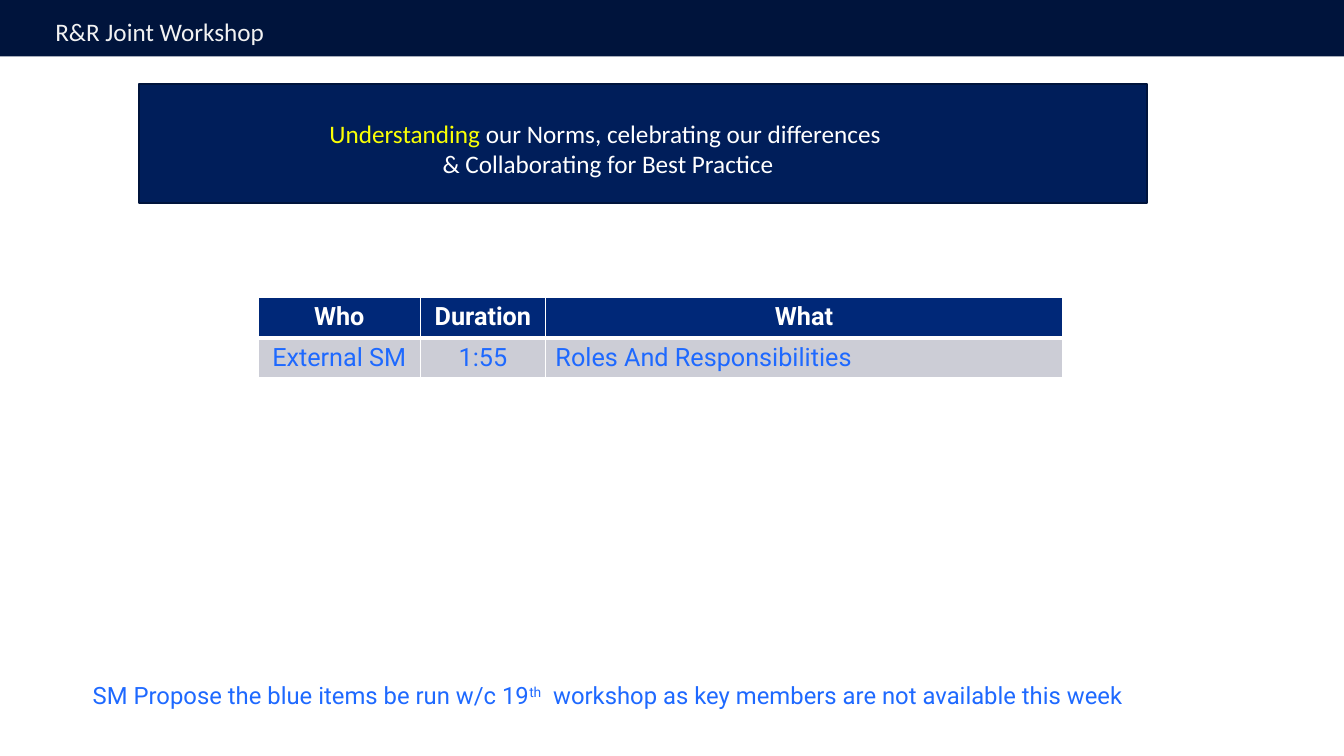
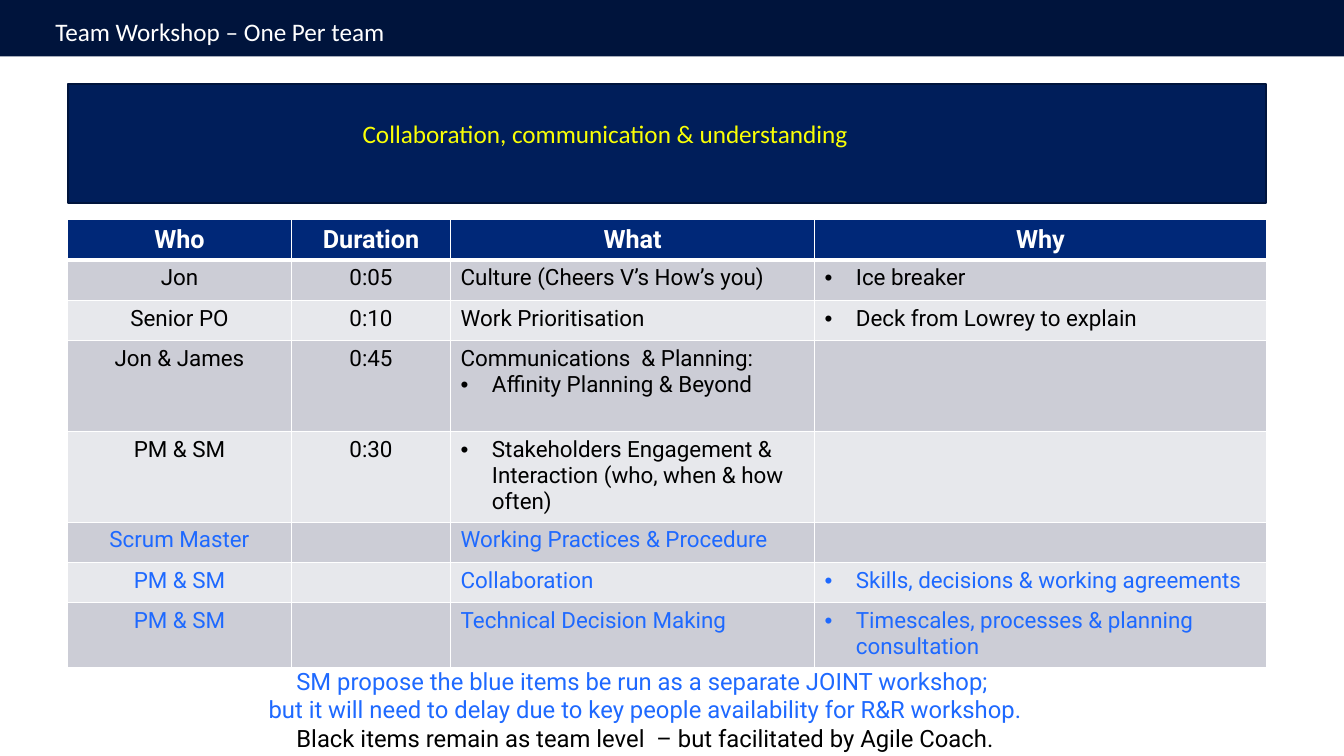
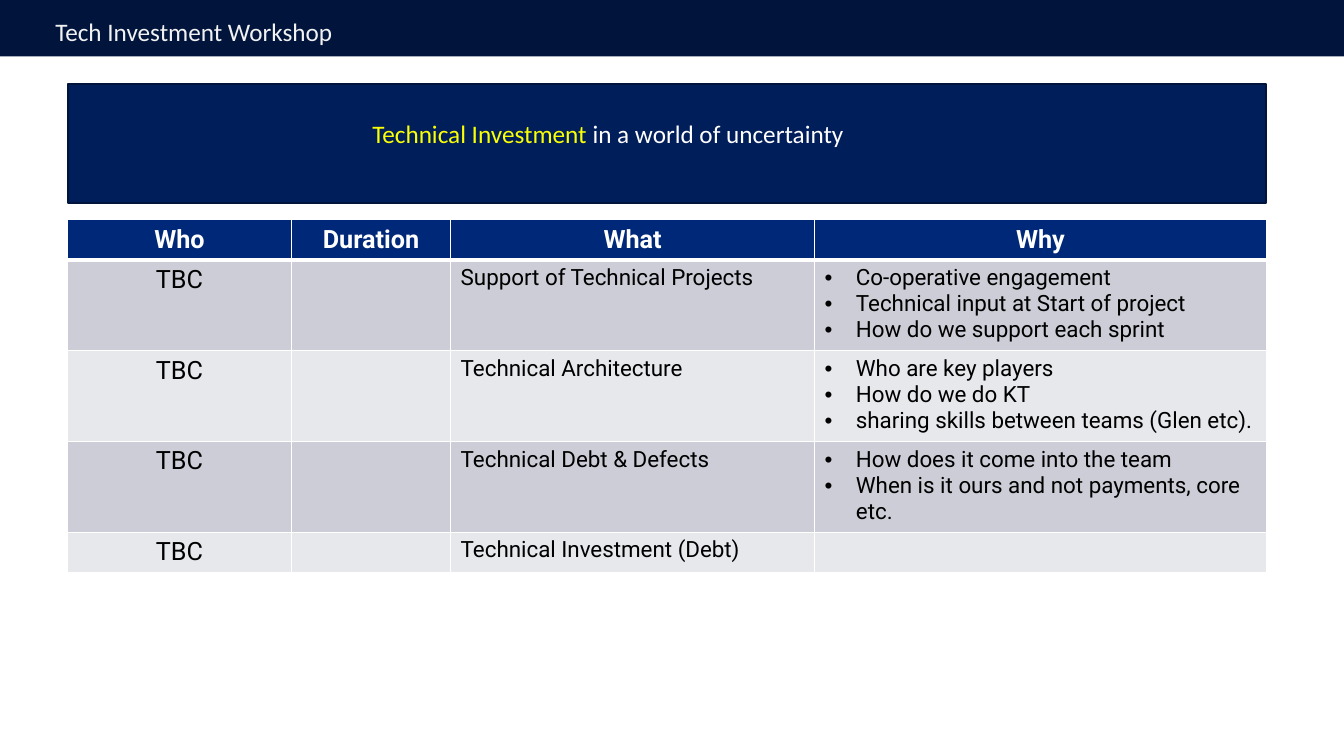
import dataclasses

import pptx
import pptx.dml.color
import pptx.enum.shapes
import pptx.enum.text
import pptx.oxml
import pptx.oxml.ns
import pptx.util

Inches = pptx.util.Inches
Pt = pptx.util.Pt
CENTER = pptx.enum.text.PP_ALIGN.CENTER


@dataclasses.dataclass(frozen=True)
class Theme:
    navy: str = "00143C"
    banner: str = "001E5A"
    header: str = "002878"
    band_dark: str = "CCCDD6"
    band_light: str = "E7E8EC"
    white: str = "FFFFFF"
    off_white: str = "F2F2F2"
    yellow: str = "FAFF05"
    blue: str = "1E69FF"
    black: str = "000000"
    heading_font: str = "Calibri"
    body_font: str = "Roboto"
    large: int = 18
    note: int = 17
    small: int = 16


THEME = Theme()

# Grid, in inches
SLIDE_W, SLIDE_H = 13.33, 7.5
MARGIN = 0.67
CONTENT_W = 11.89
TABLE_TOP = 2.18
AGENDA_COLUMNS = (2.22, 1.58, 3.61, 4.48)
ROW_HEIGHTS = {1: 0.4, 2: 0.64, 3: 0.9}  # by lines of text
BULLET = "• "
BULLET_INDENT = 0.31


def rgb(color):
    return pptx.dml.color.RGBColor.from_string(color)


def set_font(font, name, size, color, bold=False):
    font.name, font.size, font.bold = name, Pt(size), bold
    font.color.rgb = rgb(color)


def add_rect(slide, left, top, width, height, fill, outline=None):
    rect = slide.shapes.add_shape(
        pptx.enum.shapes.MSO_SHAPE.RECTANGLE,
        Inches(left), Inches(top), Inches(width), Inches(height))
    rect.shadow.inherit = False
    rect.fill.solid()
    rect.fill.fore_color.rgb = rgb(fill)
    if outline:
        rect.line.color.rgb = rgb(outline)
        rect.line.width = Pt(1.5)
    else:
        rect.line.fill.background()


def add_text(slide, box, lines, font, size, align=None, inset=True):
    """Each line is a list of (text, color) or (text, color, baseline) runs."""
    frame = slide.shapes.add_textbox(*map(Inches, box)).text_frame
    frame.word_wrap = True
    if not inset:
        frame.margin_left = frame.margin_right = 0
        frame.margin_top = frame.margin_bottom = 0
    for index, runs in enumerate(lines):
        paragraph = frame.add_paragraph() if index else frame.paragraphs[0]
        paragraph.alignment = align
        set_font(paragraph.font, font, size, runs[0][1])
        for text, color, *baseline in runs:
            run = paragraph.add_run()
            run.text = text
            if color != runs[0][1]:
                run.font.color.rgb = rgb(color)
            if baseline:
                run._r.get_or_add_rPr().set("baseline", str(baseline[0] * 1000))


def add_frame(prs, title, headline, title_color=THEME.off_white,
              banner_left=MARGIN, banner_width=CONTENT_W):
    """New slide with the title band and the headline banner."""
    slide = prs.slides.add_slide(prs.slide_layouts[6])
    add_rect(slide, 0, 0, SLIDE_W, 0.56, THEME.navy)
    add_rect(slide, banner_left, 0.83, banner_width, 1.18, THEME.banner, THEME.navy)
    add_text(slide, (0.45, 0.11, 6, 0.4), [[(title, title_color)]],
             THEME.heading_font, THEME.large)
    add_text(slide, (MARGIN, 1.12, 10.72, 0.4 + 0.31 * (len(headline) - 1)),
             headline, THEME.heading_font, THEME.large, CENTER)
    return slide


def add_borders(cell, bottom):
    properties = cell._tc.get_or_add_tcPr()
    for side, width in (("L", 1), ("R", 1), ("T", 1), ("B", bottom)):
        properties.append(pptx.oxml.parse_xml(
            f'<a:ln{side} {pptx.oxml.ns.nsdecls("a")} w="{Pt(width)}">'
            f'<a:solidFill><a:srgbClr val="{THEME.white}"/></a:solidFill>'
            f'</a:ln{side}>'))


def add_bullet(paragraph):
    properties = paragraph._p.get_or_add_pPr()
    properties.set("marL", str(Inches(BULLET_INDENT)))
    properties.set("indent", str(-Inches(BULLET_INDENT)))
    properties.append(pptx.oxml.parse_xml(
        f'<a:buFont {pptx.oxml.ns.nsdecls("a")} typeface="Arial"/>'))
    properties.append(pptx.oxml.parse_xml(
        f'<a:buChar {pptx.oxml.ns.nsdecls("a")} char="{BULLET.strip()}"/>'))


def fill_cell(cell, text, fill, size, color, align=None, header=False):
    add_borders(cell, 3 if header else 1)
    cell.fill.solid()
    cell.fill.fore_color.rgb = rgb(fill)
    for index, line in enumerate(text.split("\n")):
        frame = cell.text_frame
        paragraph = frame.add_paragraph() if index else frame.paragraphs[0]
        paragraph.alignment = align
        if line.startswith(BULLET):
            add_bullet(paragraph)
        set_font(paragraph.font, THEME.body_font, size, color, header)
        if line:
            paragraph.add_run().text = line.removeprefix(BULLET)


def add_agenda(slide, left, top, columns, rows, who_size=THEME.small, size=THEME.small):
    """Each row is (lines of height, text color, cell texts)."""
    heights = [ROW_HEIGHTS[lines] for lines in (1, *(row[0] for row in rows))]
    table = slide.shapes.add_table(
        len(heights), len(columns), Inches(left), Inches(top),
        Inches(sum(columns)), Inches(sum(heights))).table
    table.horz_banding = False
    for column, width in zip(table.columns, columns):
        column.width = Inches(width)
    for row, height in zip(table.rows, heights):
        row.height = Inches(height)
    for c, heading in enumerate(("Who", "Duration", "What", "Why")[:len(columns)]):
        fill_cell(table.cell(0, c), heading, THEME.header, THEME.large,
                  THEME.white, CENTER, header=True)
    for r, (_, color, texts) in enumerate(rows, 1):
        band = THEME.band_dark if r % 2 else THEME.band_light
        for c, text in enumerate(texts):
            fill_cell(table.cell(r, c), text, band, size if c else who_size,
                      color, CENTER if c < 2 else None)


def add_note(slide, left, top, width, lines, align=None):
    add_text(slide, (left, top, width, 0.29 * len(lines)), lines,
             THEME.body_font, THEME.note, align, inset=False)


def joint_workshop(prs):
    slide = add_frame(
        prs, "R&R Joint Workshop",
        [[("Understanding", THEME.yellow),
          (" our Norms, celebrating our differences ", THEME.white)],
         [("& Collaborating for Best Practice", THEME.white)]],
        banner_left=1.38, banner_width=10)
    add_agenda(slide, 2.56, 2.95, (1.61, 1.24, 5.13),
               [(1, THEME.blue, ("External SM", "1:55", "Roles And Responsibilities"))],
               who_size=THEME.large, size=THEME.large)
    add_note(slide, 0.92, 6.75, 11.5, [[
        ("SM Propose the blue items be run w/c 19", THEME.blue),
        ("th", THEME.blue, 30),
        ("  workshop as key members are not available this week", THEME.blue)]])


def team_workshop(prs):
    slide = add_frame(
        prs, "Team Workshop – One Per team",
        [[("Collaboration, communication & understanding ", THEME.yellow)]],
        title_color=THEME.white)
    black, blue = THEME.black, THEME.blue
    add_agenda(slide, MARGIN, TABLE_TOP, AGENDA_COLUMNS, [
        (1, black, ("Jon", "0:05", "Culture (Cheers V’s How’s you)", "• Ice breaker")),
        (1, black, ("Senior PO", "0:10", "Work Prioritisation",
                    "• Deck from Lowrey to explain")),
        (3, black, ("Jon & James", "0:45",
                    "Communications  & Planning:\n• Affinity Planning & Beyond", "")),
        (3, black, ("PM & SM", "0:30",
                    "• Stakeholders Engagement & Interaction (who, when & how often)", "")),
        (1, blue, ("Scrum Master", "", "Working Practices & Procedure", "")),
        (1, blue, ("PM & SM", "", "Collaboration",
                   "• Skills, decisions & working agreements")),
        (2, blue, ("PM & SM", "", "Technical Decision Making",
                   "• Timescales, processes & planning consultation")),
    ])
    add_note(slide, 1.4, 6.61, 10, [
        [("SM propose the blue items be run as a separate JOINT workshop; ", blue)],
        [("but it will need to delay due to key people availability for R&R workshop.",
          blue)],
        [("Black items remain as team level  – but facilitated by Agile Coach.", black)],
    ], CENTER)


def tech_workshop(prs):
    slide = add_frame(
        prs, "Tech Investment Workshop",
        [[("Technical Investment ", THEME.yellow),
          ("in a world of uncertainty", THEME.white)]])
    topics = [
        (3, "Support of Technical Projects",
         "• Co-operative engagement\n• Technical input at Start of project\n"
         "• How do we support each sprint"),
        (3, "Technical Architecture",
         "• Who are key players\n• How do we do KT\n"
         "• sharing skills between teams (Glen etc)."),
        (3, "Technical Debt & Defects",
         "• How does it come into the team\n"
         "• When is it ours and not payments, core etc."),
        (1, "Technical Investment (Debt)", ""),
    ]
    add_agenda(slide, MARGIN, TABLE_TOP, AGENDA_COLUMNS,
               [(lines, THEME.black, ("TBC", "", what, why))
                for lines, what, why in topics],
               who_size=THEME.large)


def main():
    prs = pptx.Presentation()
    prs.slide_width, prs.slide_height = Inches(SLIDE_W), Inches(SLIDE_H)
    joint_workshop(prs)
    team_workshop(prs)
    tech_workshop(prs)
    prs.save("out.pptx")


if __name__ == "__main__":
    main()
